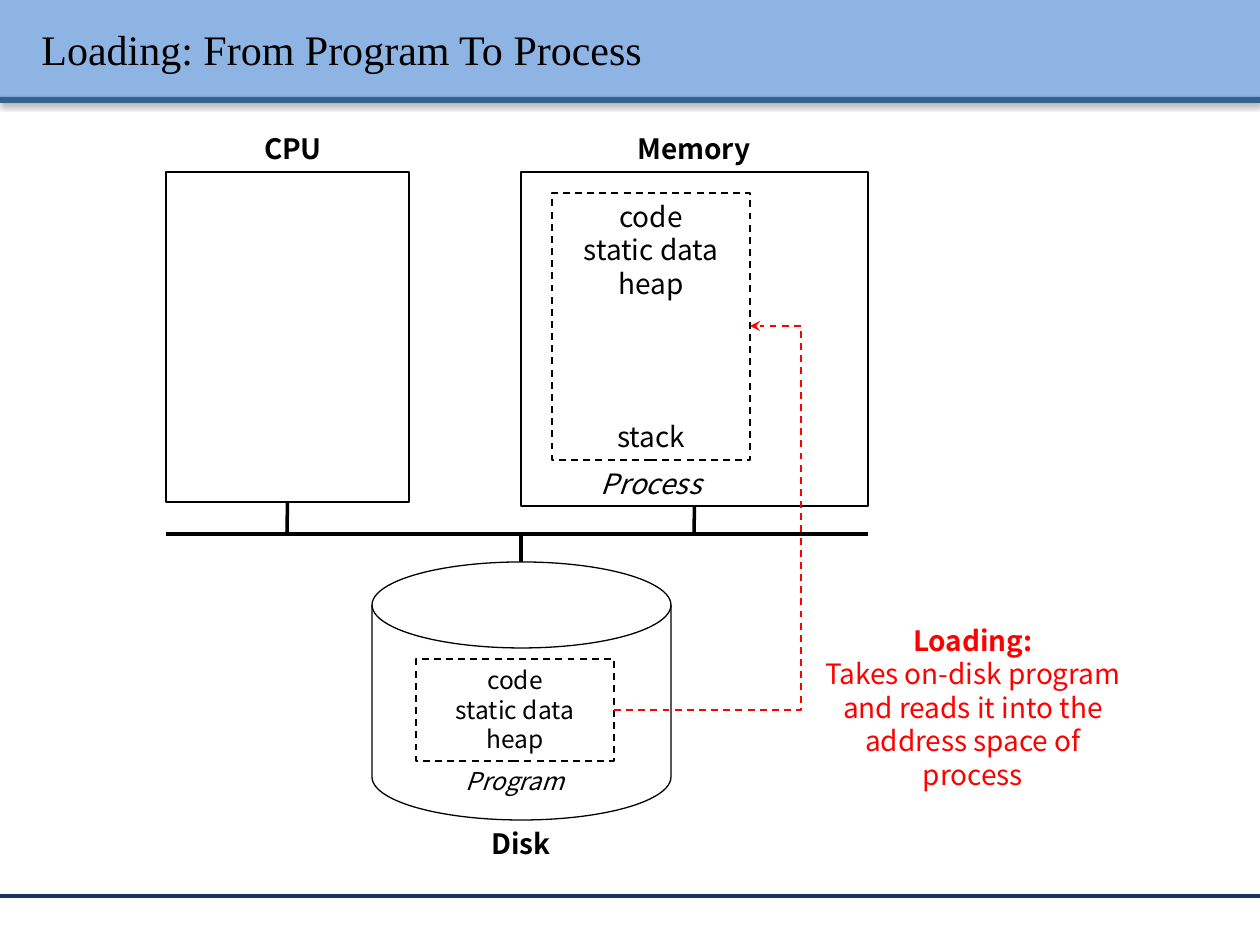
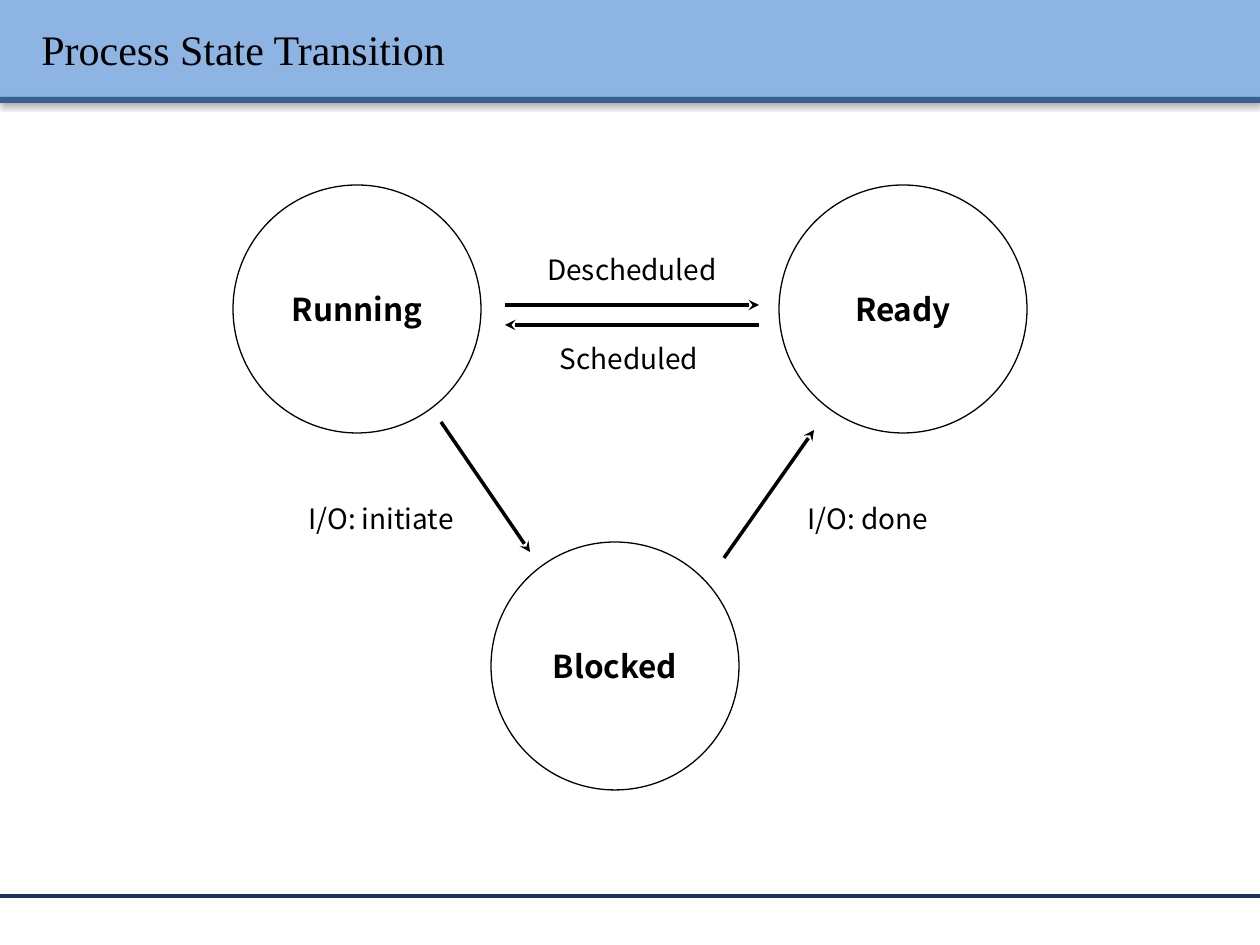
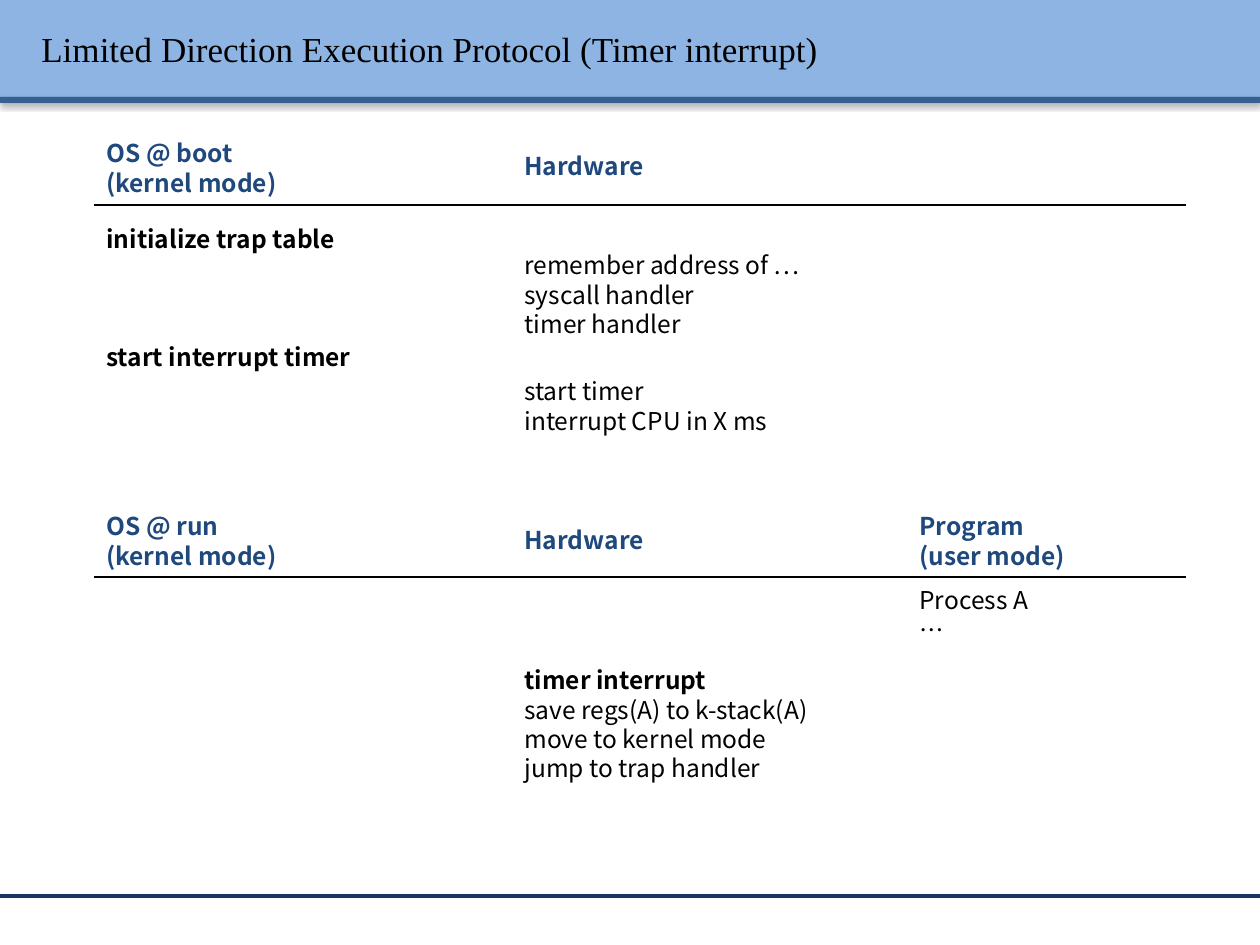
from lxml.etree import SubElement
from pptx import Presentation
from pptx.dml.color import RGBColor
from pptx.enum.dml import MSO_LINE
from pptx.enum.shapes import MSO_CONNECTOR, MSO_SHAPE
from pptx.enum.text import MSO_ANCHOR, MSO_AUTO_SIZE, PP_ALIGN
from pptx.oxml.ns import qn
from pptx.util import Emu, Pt

PIXELS_PER_INCH = 126
EMU_PER_INCH = 914400
SLIDE_WIDTH, SLIDE_HEIGHT = 1260, 945

BLACK = RGBColor(0x00, 0x00, 0x00)
WHITE = RGBColor(0xFF, 0xFF, 0xFF)
RED = RGBColor(0xFF, 0x00, 0x00)
BAND_BLUE = RGBColor(0x8E, 0xB4, 0xE3)
STRIPE_BLUE = RGBColor(0x37, 0x60, 0x92)
FOOTER_BLUE = RGBColor(0x17, 0x37, 0x5E)
HEADING_BLUE = RGBColor(0x1F, 0x49, 0x7D)

BODY_FONT = "Noto Sans CJK KR"
TITLE_FONT = "Times New Roman"

LABEL_WIDTH = 198
CIRCLE_SIZE = 248
OS_COLUMN, HARDWARE_COLUMN, PROGRAM_COLUMN = 94, 512, 907
RULE_RIGHT = 1186


def px(length):
    return Emu(round(length * EMU_PER_INCH / PIXELS_PER_INCH))


def add_outer_shadow(effects, blur, distance, direction, alpha):
    shadow = SubElement(effects, qn("a:outerShdw"), blurRad=str(Pt(blur)),
                        dist=str(Pt(distance)), dir=str(direction * 60000),
                        algn="ctr", rotWithShape="0")
    color = SubElement(shadow, qn("a:srgbClr"), val=str(BLACK))
    SubElement(color, qn("a:alpha"), val=str(alpha * 1000))


def style_span(span, size, color=BLACK, bold=False, italic=False, font=BODY_FONT):
    span.font.name = font
    span.font.size = Pt(size)
    span.font.bold = bold
    span.font.italic = italic
    span.font.color.rgb = color
    SubElement(span.font._element, qn("a:ea"), typeface=font)


def add_text(page, left, top, width, height, text, size=16, color=BLACK,
             align=PP_ALIGN.LEFT, bold_lines=0, italic=False):
    box = page.shapes.add_textbox(px(left), px(top), px(width), px(height))
    frame = box.text_frame
    frame.word_wrap = True
    frame.auto_size = MSO_AUTO_SIZE.SHAPE_TO_FIT_TEXT
    frame.text = text
    for index, paragraph in enumerate(frame.paragraphs):
        paragraph.alignment = align
        for span in paragraph.runs:
            style_span(span, size, color, index < bold_lines, italic)


def add_label(page, left, top, text, height=47, width=LABEL_WIDTH, **style):
    add_text(page, left, top, width, height, text, align=PP_ALIGN.CENTER, **style)


def add_figure(page, kind, left, top, width, height, fill=WHITE,
               line_width=1, dashed=False):
    shape = page.shapes.add_shape(kind, px(left), px(top), px(width), px(height))
    shape.shadow.inherit = False
    shape.fill.solid()
    shape.fill.fore_color.rgb = fill
    if line_width:
        shape.line.color.rgb = BLACK
        shape.line.width = Pt(line_width)
        if dashed:
            shape.line.dash_style = MSO_LINE.DASH
    else:
        shape.line.fill.background()
    return shape


def add_line(page, start, end, color=BLACK, width=2, kind=MSO_CONNECTOR.STRAIGHT,
             arrow=False):
    line = page.shapes.add_connector(kind, px(start[0]), px(start[1]),
                                     px(end[0]), px(end[1]))
    line.line.color.rgb = color
    line.line.width = Pt(width)
    if arrow:
        SubElement(line.line._get_or_add_ln(), qn("a:tailEnd"), type="stealth")
    SubElement(line._element.spPr, qn("a:effectLst"))
    return line


def add_loading_arrow(page, start, end, turn):
    arrow = add_line(page, start, end, RED, 1, MSO_CONNECTOR.ELBOW)
    arrow.line.dash_style = MSO_LINE.DASH
    SubElement(arrow.line._get_or_add_ln(), qn("a:tailEnd"), type="stealth")
    bend = round((turn - start[0]) / (end[0] - start[0]) * 100000)
    adjustments = arrow._element.spPr.find(qn("a:prstGeom")).get_or_add_avLst()
    SubElement(adjustments, qn("a:gd"), name="adj1", fmla=f"val {bend}")


def add_band(page, top, height, color):
    band = add_figure(page, MSO_SHAPE.RECTANGLE, 0, top, SLIDE_WIDTH, height,
                      color, line_width=0)
    add_outer_shadow(band._element.spPr.find(qn("a:effectLst")), 3.1, 1.6, 90, 38)


def add_title(page, title, size):
    box = page.shapes.add_textbox(px(29), px(8), px(1211), px(81))
    frame = box.text_frame
    frame.word_wrap = True
    frame.vertical_anchor = MSO_ANCHOR.MIDDLE
    frame.text = title
    span = frame.paragraphs[0].runs[0]
    style_span(span, size, font=TITLE_FONT)
    effects = span.font._element.makeelement(qn("a:effectLst"))
    span.font._element.find(qn("a:solidFill")).addnext(effects)
    add_outer_shadow(effects, 3, 3, 45, 43)


def add_page(deck, title, title_size=24):
    page = deck.slides.add_slide(deck.slide_layouts[6])
    add_band(page, 0, 97, BAND_BLUE)
    add_band(page, 97, 6, STRIPE_BLUE)
    add_line(page, (0, 896), (SLIDE_WIDTH, 896), FOOTER_BLUE)
    add_title(page, title, title_size)
    return page


def add_state(page, left, top, name):
    circle = add_figure(page, MSO_SHAPE.OVAL, left, top, CIRCLE_SIZE, CIRCLE_SIZE,
                        line_width=0.75)
    frame = circle.text_frame
    frame.margin_left = frame.margin_right = 0
    frame.vertical_anchor = MSO_ANCHOR.MIDDLE
    frame.text = name
    frame.paragraphs[0].alignment = PP_ALIGN.CENTER
    style_span(frame.paragraphs[0].runs[0], 18, bold=True)


def add_heading(page, left, top, text):
    add_text(page, left, top, 238, 72, text, 14, HEADING_BLUE, bold_lines=2)


def add_steps(page, left, top, text, bold_lines=0):
    add_text(page, left, top, 319, 43, text, 14, bold_lines=bold_lines)


def build_loading(deck):
    page = add_page(deck, "Loading: From Program To Process")
    bus = 534
    memory = add_figure(page, MSO_SHAPE.RECTANGLE, 521, 172, 347, 334)
    add_figure(page, MSO_SHAPE.RECTANGLE, 552, 193, LABEL_WIDTH, 267, dashed=True)
    add_label(page, 552, 193, "code\nstatic data\nheap", 118)
    add_label(page, 552, 413, "stack")
    add_label(page, 552, 460, "Process", italic=True)
    add_label(page, 595, 125, "Memory", bold_lines=1)
    memory_link = add_line(page, (694, 506), (694, bus))
    memory_link.begin_connect(memory, 2)
    add_line(page, (166, bus), (868, bus))
    add_line(page, (521, bus), (521, 562))

    add_figure(page, MSO_SHAPE.FLOWCHART_MAGNETIC_DISK, 372, 562, 299, 258,
               line_width=0.75)
    add_figure(page, MSO_SHAPE.RECTANGLE, 416, 659, LABEL_WIDTH, 102, dashed=True)
    add_label(page, 416, 659, "code\nstatic data\nheap", 102, size=14)
    add_label(page, 416, 760, "Program", 43, size=14, italic=True)
    add_label(page, 422, 820, "Disk", bold_lines=1)
    add_loading_arrow(page, (614, 710), (750, 326), 801)

    cpu = add_figure(page, MSO_SHAPE.RECTANGLE, 166, 172, 243, 330)
    cpu_link = add_line(page, (287, 502), (287, bus))
    cpu_link.begin_connect(cpu, 2)
    add_label(page, 809, 617,
              "Loading:\nTakes on-disk program\n"
              "and reads it into the address space of process",
              183, 328, color=RED, bold_lines=1)
    add_label(page, 194, 125, "CPU", bold_lines=1)


def build_transition(deck):
    page = add_page(deck, "Process State Transition")
    for left, top, name in ((233, 185, "Running"), (779, 185, "Ready"),
                            (491, 542, "Blocked")):
        add_state(page, left, top, name)
    for start, end in (((505, 305), (759, 305)), ((759, 325), (505, 325)),
                       ((441, 422), (530, 552)), ((724, 558), (814, 430))):
        add_line(page, start, end, arrow=True)
    for left, top, name in ((533, 246, "Descheduled"), (530, 335, "Scheduled"),
                            (769, 495, "I/O: done"), (282, 495, "I/O: initiate")):
        add_label(page, left, top, name)


def build_protocol(deck):
    page = add_page(deck, "Limited Direction Execution Protocol (Timer interrupt)", 20)
    for left, top, text in ((OS_COLUMN, 132, "OS @ boot\n(kernel mode)"),
                            (HARDWARE_COLUMN, 145, "Hardware"),
                            (OS_COLUMN, 505, "OS @ run\n(kernel mode)"),
                            (HARDWARE_COLUMN, 519, "Hardware"),
                            (PROGRAM_COLUMN, 505, "Program\n(user mode)")):
        add_heading(page, left, top, text)
    for height in (205, 577):
        add_line(page, (OS_COLUMN, height), (RULE_RIGHT, height), width=1)
    add_steps(page, OS_COLUMN, 218, "initialize trap table", 1)
    add_steps(page, HARDWARE_COLUMN, 244,
              "remember address of …\nsyscall handler\ntimer handler")
    add_steps(page, OS_COLUMN, 336, "start interrupt timer", 1)
    add_steps(page, HARDWARE_COLUMN, 370, "start timer\ninterrupt CPU in X ms")
    add_steps(page, HARDWARE_COLUMN, 659,
              "timer interrupt\nsave regs(A) to k-stack(A)\n"
              "move to kernel mode\njump to trap handler", 1)
    add_steps(page, PROGRAM_COLUMN, 579, "Process A\n…")


def main():
    deck = Presentation()
    deck.slide_width = px(SLIDE_WIDTH)
    deck.slide_height = px(SLIDE_HEIGHT)
    build_loading(deck)
    build_transition(deck)
    build_protocol(deck)
    deck.save("out.pptx")


if __name__ == "__main__":
    main()
